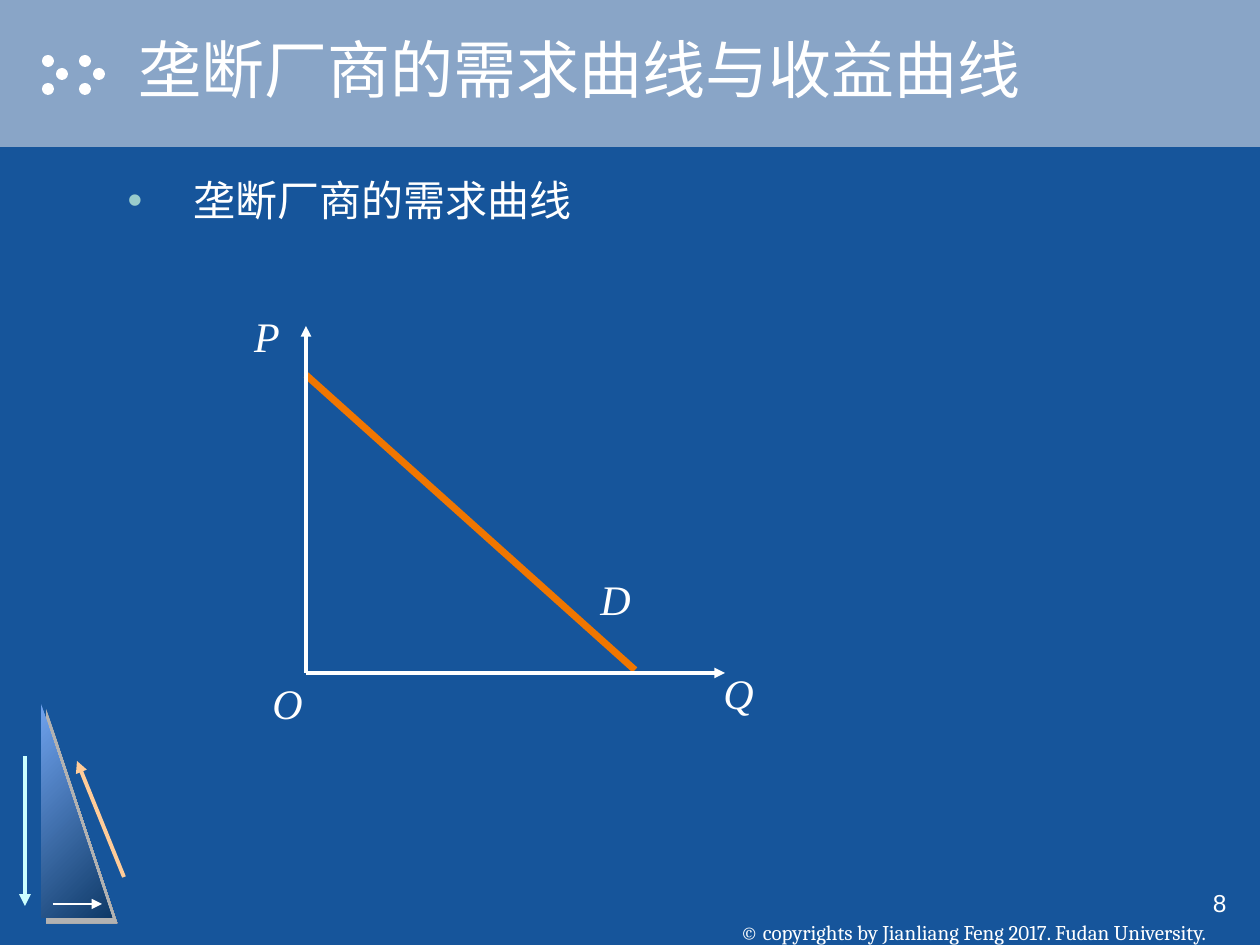
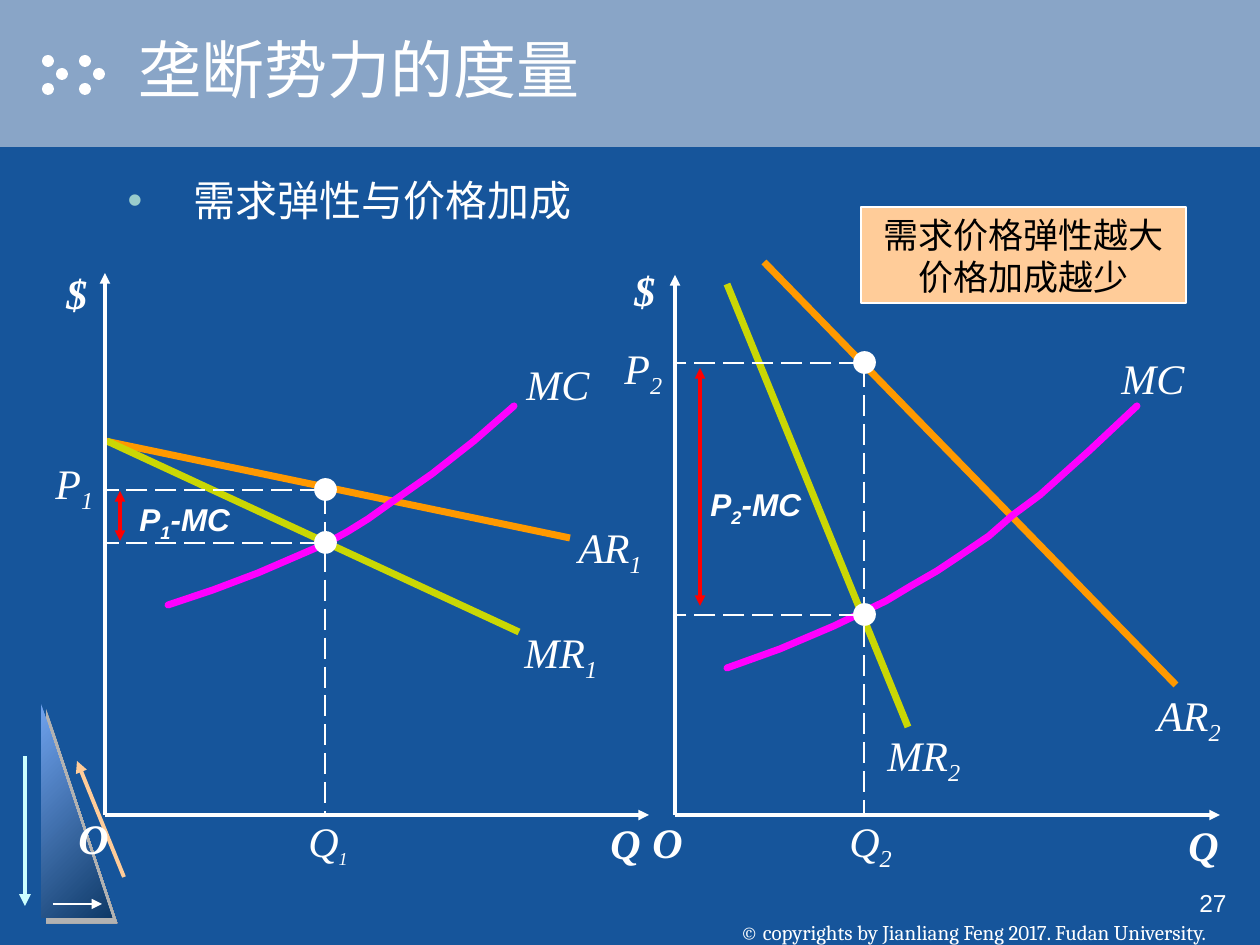
from dataclasses import dataclass

from lxml.etree import SubElement
from pptx import Presentation
from pptx.dml.color import RGBColor
from pptx.enum.dml import MSO_LINE
from pptx.enum.shapes import MSO_CONNECTOR, MSO_SHAPE
from pptx.enum.text import MSO_ANCHOR, MSO_AUTO_SIZE, PP_ALIGN
from pptx.oxml.ns import qn
from pptx.util import Pt

PX = 914400 / 126

COLORS = {
    "background": "16559B",
    "band": "89A5C7",
    "white": "FFFFFF",
    "black": "000000",
    "title_shadow": "200030",
    "bullet": "99CCCC",
    "triangle_light": "6FA2ED",
    "triangle_dark": "0F3A68",
    "triangle_shadow": "B2B2B2",
    "down_arrow": "CCFFFF",
    "peach": "FFCC99",
    "demand": "F07600",
    "average": "FF9900",
    "marginal": "CAD704",
    "cost": "FF00FF",
    "markup": "FF0000",
}
SERIF = "Times New Roman"
SANS = "Arial"
COPYRIGHT = "© copyrights by Jianliang Feng 2017. Fudan University."


@dataclass
class Market:
    origin: tuple
    axis_top: int
    axis_right: int
    average: tuple
    marginal: tuple
    cost: list
    quantity: int
    price: int
    unit_cost: int
    markup: tuple
    labels: list
    axis_labels: list
    markup_label: tuple


MARKETS = [
    Market(
        origin=(105, 815), axis_top=273, axis_right=649,
        average=((105, 441), (570, 538)),
        marginal=((107, 441), (519, 632)),
        cost=[(168, 605), (213, 590), (258, 573), (302, 554), (325, 544), (347, 532),
              (368, 519), (389, 504), (432, 474), (474, 441), (514, 406)],
        quantity=325, price=490, unit_cost=543, markup=(120, 491, 541),
        labels=[("AR_1", 566, 515, 100), ("MR_1", 512, 620, 108), ("MC", 514, 352, 98),
                ("P_1", 43, 451, 72)],
        axis_labels=[("$", 54, 261, 45), ("Q", 598, 811, 55), ("O", 66, 806, 55)],
        markup_label=("P_1-MC", 127, 494, 126),
    ),
    Market(
        origin=(675, 815), axis_top=275, axis_right=1220,
        average=((764, 262), (1176, 685)),
        marginal=((727, 284), (908, 727)),
        cost=[(727, 668), (780, 649), (834, 626), (859, 614), (886, 601), (911, 586),
              (937, 571), (964, 553), (989, 536), (1013, 515), (1040, 495),
              (1089, 451), (1137, 406)],
        quantity=864, price=363, unit_cost=615, markup=(700, 368, 606),
        labels=[("AR_2", 1145, 683, 100), ("MR_2", 875, 723, 108), ("MC", 1109, 346, 98),
                ("Q_2", 837, 809, 78), ("P_2", 612, 336, 72)],
        axis_labels=[("$", 622, 258, 45), ("Q", 1176, 813, 55), ("O", 640, 810, 55)],
        markup_label=("P_2-MC", 698, 479, 126),
    ),
]


def px(*lengths):
    return [round(length * PX) for length in lengths]


def rgb(color):
    return RGBColor.from_string(COLORS[color])


def set_font(paragraph, size, name=SERIF, color="white", bold=False, italic=False):
    font = paragraph.font
    font.size, font.name = Pt(size), name
    font.bold, font.italic = bold, italic
    font.color.rgb = rgb(color)


def add_shadow(parent, color, distance):
    shadow = SubElement(parent, qn("a:outerShdw"), dist=str(Pt(distance)), dir="2700000",
                        algn="ctr", rotWithShape="0")
    SubElement(shadow, qn("a:srgbClr"), val=COLORS[color])


def add_solid(slide, preset, box, color, outline=None):
    solid = slide.shapes.add_shape(preset, *px(*box))
    solid.shadow.inherit = False
    solid.fill.solid()
    solid.fill.fore_color.rgb = rgb(color)
    if outline:
        solid.line.color.rgb = rgb(outline)
        solid.line.width = Pt(1)
    else:
        solid.line.fill.background()
    return solid


def add_line(slide, start, end, color="white", width=2.0, arrows=(), dash=None):
    connector = slide.shapes.add_connector(MSO_CONNECTOR.STRAIGHT, *px(*start, *end))
    connector.line.color.rgb = rgb(color)
    connector.line.width = Pt(width)
    if dash:
        connector.line.dash_style = dash
    properties = connector.element.spPr
    for arrow in arrows:
        SubElement(properties.find(qn("a:ln")), qn(f"a:{arrow}"), type="triangle")
    SubElement(properties, qn("a:effectLst"))


def add_arrow(slide, start, end, color="white", width=2.0):
    add_line(slide, start, end, color, width, ["tailEnd"])


def add_curve(slide, points, color):
    builder = slide.shapes.build_freeform(*points[0], scale=PX)
    builder.add_line_segments(points[1:], close=False)
    curve = builder.convert_to_shape()
    curve.shadow.inherit = False
    curve.fill.background()
    curve.line.color.rgb = rgb(color)
    curve.line.width = Pt(4)
    outline = curve.element.spPr.find(qn("a:ln"))
    outline.set("cap", "rnd")
    SubElement(outline, qn("a:round"))


def add_text(slide, text, box, size, name, align=PP_ALIGN.LEFT, wrap=False, **style):
    box_shape = slide.shapes.add_textbox(*px(*box))
    frame = box_shape.text_frame
    frame.word_wrap = wrap
    base, _, rest = text.partition("_")
    paragraph = frame.paragraphs[0]
    paragraph.alignment = align
    set_font(paragraph, size, name, **style)
    paragraph.add_run().text = base
    if rest:
        subscript = paragraph.add_run()
        subscript.text = rest[0]
        subscript.font._element.set("baseline", "-25000")
    if rest[1:]:
        paragraph.add_run().text = rest[1:]
    return frame


def add_label(slide, text, left, top, width, size=24, name=SERIF, bold=False):
    frame = add_text(slide, text, (left, top, width, 63), size, name, bold=bold, italic=True)
    frame.auto_size = MSO_AUTO_SIZE.NONE
    return frame


def add_axes(slide, origin, top, right):
    x, y = origin
    add_arrow(slide, origin, (x, top))
    add_arrow(slide, origin, (right, y))


def add_slope_triangle(slide):
    triangle = add_solid(slide, MSO_SHAPE.RIGHT_TRIANGLE, (41, 704, 71, 214), "band")
    triangle.fill.gradient()
    triangle.fill.gradient_angle = 315
    for stop, color in zip(triangle.fill.gradient_stops, ("triangle_light", "triangle_dark")):
        stop.color.rgb = rgb(color)
    add_shadow(triangle.element.spPr.find(qn("a:effectLst")), "triangle_shadow", 4.2)
    add_arrow(slide, (25, 756), (25, 906), "down_arrow", 2.25)
    add_arrow(slide, (124, 877), (77, 761), "peach", 2.25)
    add_arrow(slide, (53, 904), (102, 904), width=1.5)


def add_frame(slide, number):
    add_solid(slide, MSO_SHAPE.RECTANGLE, (0, 0, 1260, 147), "band")
    for left in (42, 79):
        for shift, top in ((0, 55), (14, 68), (0, 83)):
            add_solid(slide, MSO_SHAPE.OVAL, (left + shift, top, 12, 12), "white")
    add_slope_triangle(slide)
    footer = add_text(slide, COPYRIGHT, (685, 882, 577, 63), 12, "Cambria", PP_ALIGN.CENTER)
    footer.vertical_anchor = MSO_ANCHOR.BOTTOM
    footer.margin_top = footer.margin_bottom = 0
    add_text(slide, str(number), (977, 882, 262, 63), 14, SANS, PP_ALIGN.RIGHT, wrap=True)


def fill_placeholder(placeholder, text, box):
    placeholder.left, placeholder.top, placeholder.width, placeholder.height = px(*box)
    placeholder.element.getparent().append(placeholder.element)
    frame = placeholder.text_frame
    frame.text = text
    frame.auto_size = MSO_AUTO_SIZE.NONE
    paragraph = frame.paragraphs[0]
    paragraph.alignment = PP_ALIGN.LEFT
    paragraph.space_before = Pt(0)
    return paragraph


def add_topic_slide(deck, number, title, topic):
    slide = deck.slides.add_slide(deck.slide_layouts[1])
    add_frame(slide, number)
    heading = fill_placeholder(slide.shapes.title, title, (126, 0, 1134, 136))
    set_font(heading, 36, SANS)
    effects = SubElement(heading.runs[0].font._element, qn("a:effectLst"))
    add_shadow(effects, "title_shadow", 1.5)
    item = fill_placeholder(slide.placeholders[1], topic, (115, 168, 1029, 630))
    properties = item._p.get_or_add_pPr()
    indent = px(66)[0]
    properties.set("marL", str(indent))
    properties.set("indent", str(-indent))
    bullet_color = SubElement(properties, qn("a:buClr"))
    SubElement(bullet_color, qn("a:srgbClr"), val=COLORS["bullet"])
    SubElement(properties, qn("a:buChar"), char="•")
    set_font(item, 24)
    return slide


def draw_demand(slide):
    add_line(slide, (306, 375), (635, 670), "demand", 4)
    add_axes(slide, (306, 673), 326, 725)
    for text, left, top, width in (("D", 588, 557, 55), ("Q", 711, 651, 55),
                                   ("P", 242, 294, 50), ("O", 260, 661, 55)):
        paragraph = add_label(slide, text, left, top, width).paragraphs[0]
        paragraph.alignment = PP_ALIGN.CENTER
        paragraph.line_spacing = 1.2


def draw_market(slide, market):
    axis_x, axis_y = market.origin
    add_line(slide, *market.average, "average", 4)
    add_line(slide, *market.marginal, "marginal", 4)
    add_curve(slide, market.cost, "cost")
    add_axes(slide, market.origin, market.axis_top, market.axis_right)
    guide = {"width": 1.5, "dash": MSO_LINE.LONG_DASH}
    add_line(slide, (market.quantity, market.price + 3), (market.quantity, axis_y), **guide)
    for level in (market.price, market.unit_cost):
        add_line(slide, (market.quantity - 4, level), (axis_x - 2, level), **guide)
        add_solid(slide, MSO_SHAPE.OVAL, (market.quantity - 10, level - 11, 21, 21),
                  "white", "white")
    x, top, bottom = market.markup
    add_line(slide, (x, top), (x, bottom), "markup", arrows=["headEnd", "tailEnd"])
    for label in market.labels:
        add_label(slide, *label)
    for label in market.axis_labels:
        add_label(slide, *label, bold=True)
    add_label(slide, *market.markup_label, size=18, name=SANS, bold=True)


def add_callout(slide, text):
    callout = add_solid(slide, MSO_SHAPE.RECTANGLE, (861, 207, 325, 96), "peach", "white")
    frame = callout.text_frame
    frame.text = text
    frame.word_wrap = True
    frame.paragraphs[0].alignment = PP_ALIGN.CENTER
    set_font(frame.paragraphs[0], 20, color="black")


def main():
    deck = Presentation()
    deck.slide_width, deck.slide_height = px(1260, 945)
    backdrop = deck.slide_master.background.fill
    backdrop.solid()
    backdrop.fore_color.rgb = rgb("background")

    demand = add_topic_slide(deck, 8, "垄断厂商的需求曲线与收益曲线", "垄断厂商的需求曲线")
    draw_demand(demand)

    power = add_topic_slide(deck, 27, "垄断势力的度量", "需求弹性与价格加成")
    for market in MARKETS:
        draw_market(power, market)
    quantity = add_label(power, "Q_1", 296, 809, 78)
    quantity.paragraphs[0].runs[1].font.size = Pt(18)
    add_callout(power, "需求价格弹性越大价格加成越少")

    deck.save("out.pptx")


if __name__ == "__main__":
    main()
